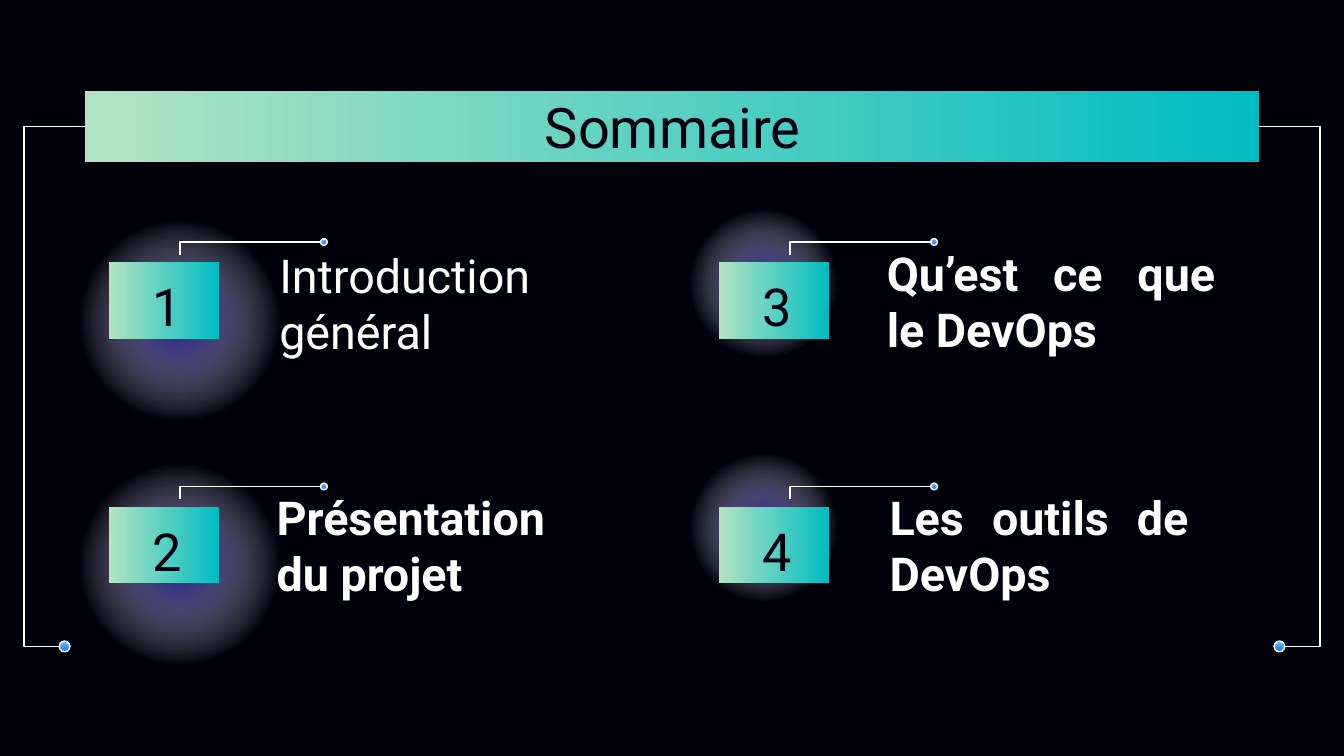
"""Builds the "Sommaire" agenda slide with four numbered entries."""
from lxml.etree import SubElement
from pptx import Presentation
from pptx.dml.color import RGBColor
from pptx.enum.shapes import MSO_CONNECTOR, MSO_SHAPE
from pptx.enum.text import MSO_ANCHOR, PP_ALIGN
from pptx.oxml import parse_xml
from pptx.oxml.ns import nsdecls, qn
from pptx.util import Inches, Pt

COLORS = {
    "night": "00000D", "white": "FFFFFF", "teal": "00BCC2", "mint": "B2E4C2",
    "violet": "170F8D", "sky": "82BCFE", "blue": "0C77F1",
}
COLS, ROWS = 100, 56.25
ENTRY_X, ENTRY_Y = (8.1, 53.5), (19.5, 37.7)
BADGE_W, BADGE_H = 8.2, 5.7
GLOWS = ((-3.6, -4.2, 17.7, 17.1), (-3.6, -4.2, 13.8, 11.6))
ENTRIES = (
    ("Introduction général", 19.8, 20.6, 24.5, False),
    ("Présentation du projet", 19.6, 38.6, 25.5, True),
    ("Qu’est ce que le DevOps", 65, 20.4, 26.4, True),
    ("Les outils de DevOps", 65.2, 38.6, 24.2, True),
)


def gradient(stops, direction):
    """Return a gradient fill element from (position, color, alpha) stops."""
    marks = "".join(
        f'<a:gs pos="{pos * 1000}"><a:srgbClr val="{COLORS[color]}">'
        f'<a:alpha val="{alpha * 1000}"/></a:srgbClr></a:gs>'
        for pos, color, alpha in stops)
    return parse_xml(f'<a:gradFill rotWithShape="1" {nsdecls("a")}>'
                     f"<a:gsLst>{marks}</a:gsLst>{direction}</a:gradFill>")


def linear(first, last, angle):
    """Return a two-color linear gradient."""
    return gradient(((0, first, 100), (100, last, 100)),
                    f'<a:lin ang="{angle * 60000}" scaled="0"/>')


def halo():
    """Return a violet gradient that fades out from the center."""
    return gradient(((0, "violet", 100), (61, "white", 0), (100, "white", 0)),
                    '<a:path path="circle"><a:fillToRect l="50000" t="50000" '
                    'r="50000" b="50000"/></a:path>')


def write(tf, text, size=25, color="white", bold=False, align=PP_ALIGN.LEFT):
    """Put one formatted run in a text frame."""
    p = tf.paragraphs[0]
    p.alignment = align
    r = p.add_run()
    r.text = text
    r.font.name, r.font.size, r.font.bold = "Roboto", Pt(size), bold
    r.font.color.rgb = RGBColor.from_string(COLORS[color])


class Deck:
    """Holds the grid, the line style and the current slide."""

    def __init__(self):
        """Open a blank dark 16:9 slide."""
        self.prs = Presentation()
        self.prs.slide_width = Inches(10)
        self.prs.slide_height = self.prs.slide_width * 9 // 16
        self.s = self.prs.slides.add_slide(self.prs.slide_layouts[6])
        fill = self.s.background.fill
        fill.solid()
        fill.fore_color.rgb = RGBColor.from_string(COLORS["night"])

    def grid(self, *lengths):
        """Turn alternating columns and rows into slide units."""
        units = self.prs.slide_width / COLS, self.prs.slide_height / ROWS
        return [round(n * units[i % 2]) for i, n in enumerate(lengths)]

    def outline(self, line):
        """Give a line the thin white style."""
        line.color.rgb = RGBColor.from_string(COLORS["white"])
        line.width = Pt(0.75)

    def shape(self, kind, box, fill, outlined=False):
        """Add a gradient shape."""
        sp = self.s.shapes.add_shape(kind, *self.grid(*box))
        sp.shadow.inherit = False
        sp.fill.background()
        props = sp._element.spPr
        props.replace(props.find(qn("a:noFill")), fill)
        if outlined:
            self.outline(sp.line)
        else:
            sp.line.fill.background()

    def dot(self, x, y, size):
        """Add a blue dot centered on a point."""
        self.shape(MSO_SHAPE.OVAL, (x - size / 2, y - size / 2, size, size),
                   linear("sky", "blue", 90), outlined=True)

    def elbow(self, start, end, bend=None):
        """Add a bent line; a bend gives it a second corner."""
        sp = self.s.shapes.add_connector(MSO_CONNECTOR.ELBOW,
                                         *self.grid(*start, *end))
        self.outline(sp.line)
        props = sp._element.spPr
        SubElement(props, qn("a:effectLst"))
        geom = props.find(qn("a:prstGeom"))
        if bend is None:
            geom.set("prst", "bentConnector2")
        else:
            guides = geom.get_or_add_avLst()
            SubElement(guides, qn("a:gd"), name="adj1",
                       fmla=f"val {round(bend * 100000)}")

    def text(self, box, text, anchor=MSO_ANCHOR.MIDDLE, **style):
        """Add a wrapped text box."""
        tf = self.s.shapes.add_textbox(*self.grid(*box)).text_frame
        tf.word_wrap, tf.vertical_anchor = True, anchor
        tf.margin_left = tf.margin_right = Inches(0.1)
        tf.margin_top = tf.margin_bottom = Inches(0.1)
        write(tf, text, **style)

    def entry(self, index):
        """Add one numbered entry with its glow, badge and pointer."""
        label, left, top, width, bold = ENTRIES[index]
        col, row = divmod(index, 2)
        x, y = ENTRY_X[col], ENTRY_Y[row]
        dx, dy, w, h = GLOWS[col]
        self.shape(MSO_SHAPE.OVAL, (x + dx, y + dy, w, h), halo())
        self.shape(MSO_SHAPE.RECTANGLE, (x, y, BADGE_W, BADGE_H),
                   linear("teal", "mint", 180))
        self.text((x + 0.9, y + 1.3, 6.8, 3.9), str(index + 1), size=28,
                  color="night", align=PP_ALIGN.CENTER)
        self.text((left, top, width, 3.9), label, bold=bold,
                  align=PP_ALIGN.JUSTIFY if bold else PP_ALIGN.LEFT)
        self.dot(x + 16, y - 1.5, 0.5)
        self.elbow((x + 15.75, y - 1.5), (x + 5.3, y - 0.55))

    def header(self):
        """Add the title bar and the bracket on each side."""
        self.shape(MSO_SHAPE.RECTANGLE, (6.3, 6.8, COLS - 12.6, 5.3),
                   linear("teal", "mint", 180))
        for side in (lambda x: x, lambda x: COLS - x):
            self.dot(side(4.8), 48.1, 0.8)
            self.elbow((side(4.4), 48.1), (side(6.3), 9.4), bend=-1.37)
        self.text((7.9, 5.9, 84.3, 6.3), "Sommaire", anchor=MSO_ANCHOR.TOP,
                  size=30, color="night", align=PP_ALIGN.CENTER)


def main():
    """Build and save the slide."""
    deck = Deck()
    for index in range(len(ENTRIES)):
        deck.entry(index)
    deck.header()
    deck.prs.save("out.pptx")


if __name__ == "__main__":
    main()
